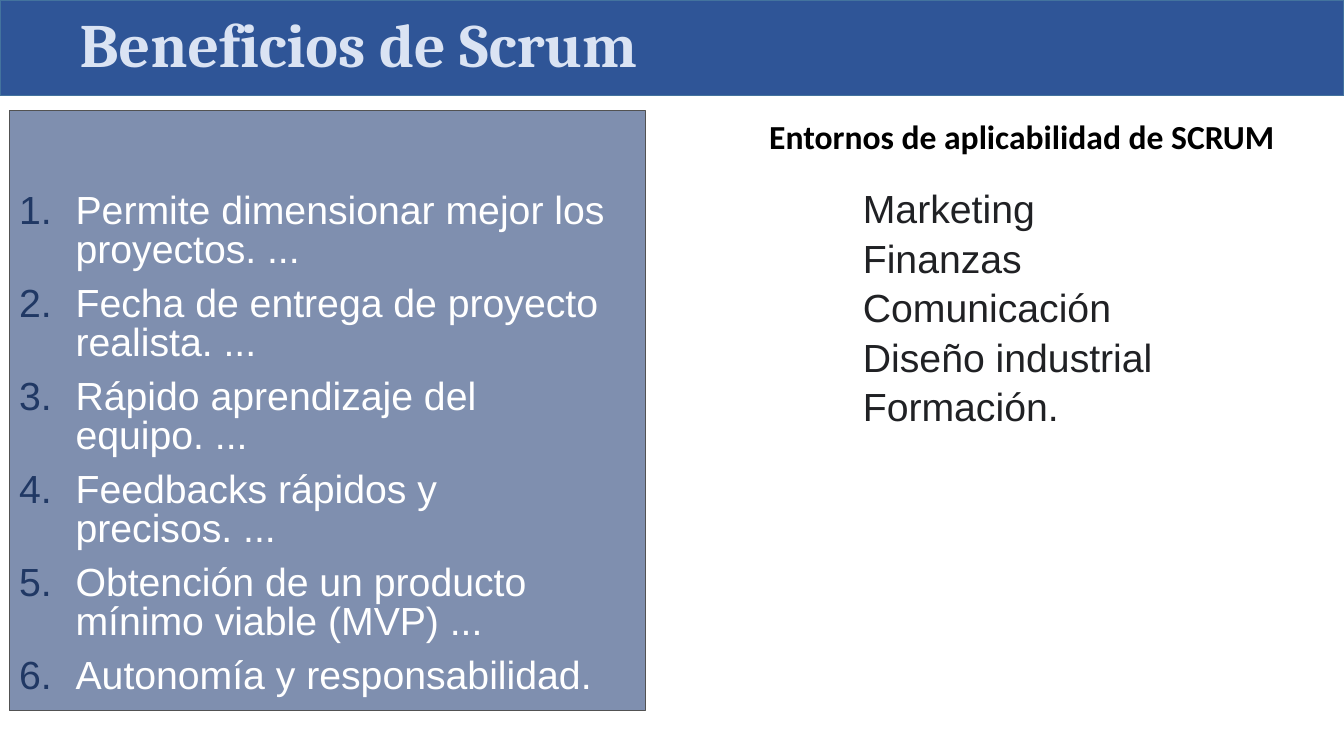
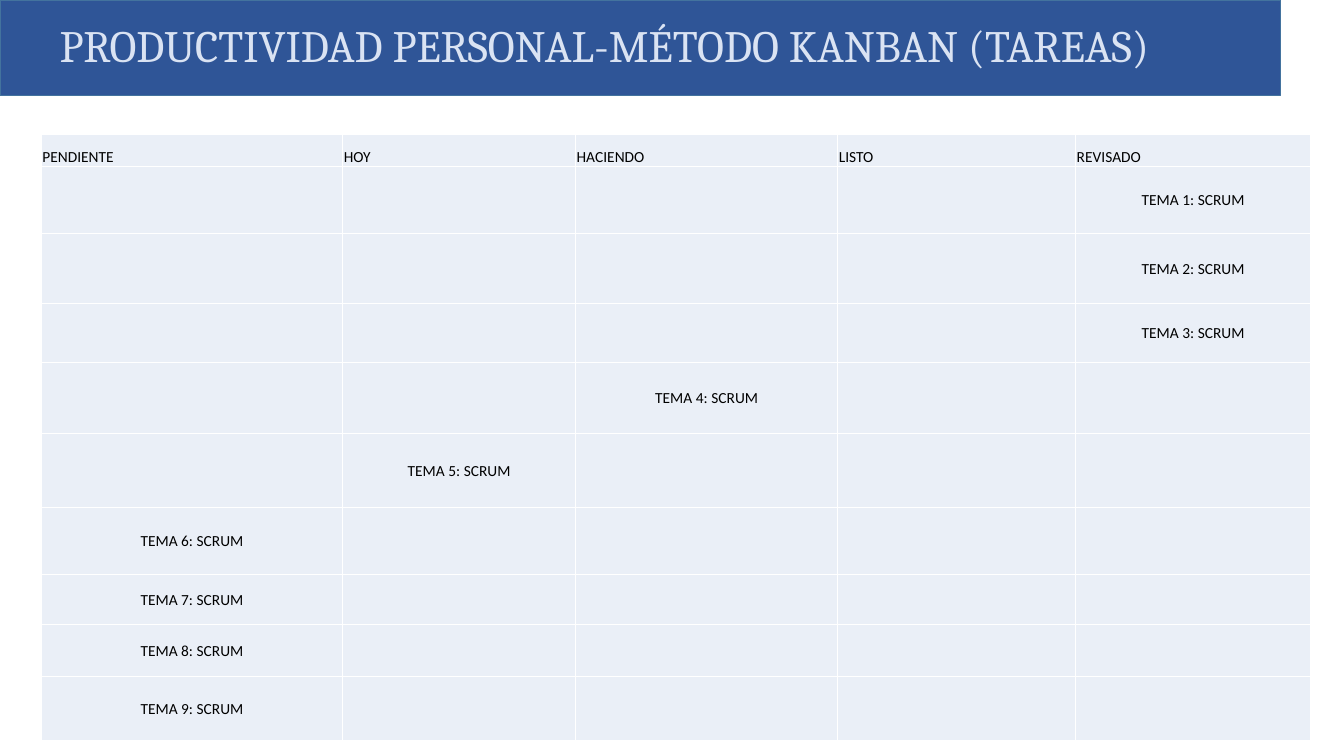
from dataclasses import dataclass

from lxml import etree
from pptx import Presentation
from pptx.dml.color import RGBColor
from pptx.enum.text import MSO_ANCHOR, MSO_AUTO_SIZE, PP_ALIGN
from pptx.oxml.ns import qn
from pptx.util import Pt

LEFT, CENTER = PP_ALIGN.LEFT, PP_ALIGN.CENTER
TOP, MIDDLE, BOTTOM = MSO_ANCHOR.TOP, MSO_ANCHOR.MIDDLE, MSO_ANCHOR.BOTTOM
NO_AUTOFIT = MSO_AUTO_SIZE.NONE
TITLE_AND_BODY, TITLE_ONLY = 1, 5
EMU_PER_PX = 9144  # 100 px to the inch


@dataclass(frozen=True)
class Theme:
    band: str = "2F5597"
    band_line: str = "43739E"
    title: str = "DAE3F3"
    panel: str = "002060"
    panel_line: str = "525252"
    panel_text: str = "FFFFFF"
    number: str = "203864"
    heading: str = "000000"
    text: str = "202124"
    cell: str = "EAEFF7"
    border: str = "FFFFFF"
    title_font: str = "Cambria"
    list_font: str = "Arial"
    label_font: str = "Calibri"
    title_size: int = 44
    long_title_size: int = 32
    list_size: int = 28
    heading_size: int = 24
    cell_size: int = 11


T = Theme()

BENEFITS_TITLE = "Beneficios de Scrum"
BENEFITS = [
    "Permite dimensionar mejor los proyectos. ...",
    "Fecha de entrega de proyecto realista. ...",
    "Rápido aprendizaje del equipo. ...",
    "Feedbacks rápidos y precisos. ...",
    "Obtención de un producto mínimo viable (MVP) ...",
    "Autonomía y responsabilidad.",
]
FIELDS_HEADING = "Entornos de aplicabilidad de SCRUM"
FIELDS = ["Marketing", "Finanzas", "Comunicación", "Diseño industrial", "Formación."]

KANBAN_TITLE = "PRODUCTIVIDAD PERSONAL-MÉTODO KANBAN (TAREAS)"
KANBAN_COLUMNS = [("PENDIENTE", 299), ("HOY", 231), ("HACIENDO", 260),
                  ("LISTO", 236), ("REVISADO", 233)]
HEADER_HEIGHT = 32
# Row height and the column that holds the topic
TOPICS = [(67, "REVISADO"), (69, "REVISADO"), (59, "REVISADO"),
          (70, "HACIENDO"), (74, "HOY"), (66, "PENDIENTE"),
          (50, "PENDIENTE"), (51, "PENDIENTE"), (64, "PENDIENTE")]


def px(n):
    return n * EMU_PER_PX


def rgb(color):
    return RGBColor.from_string(color)


def place(sp, left, top, width, height):
    sp.left, sp.top, sp.width, sp.height = map(px, (left, top, width, height))


def paint(sp, fill, line, line_width):
    sp.fill.solid()
    sp.fill.fore_color.rgb = rgb(fill)
    sp.line.color.rgb = rgb(line)
    sp.line.width = Pt(line_width)


def style_runs(p, font, size, color, bold=False):
    for r in p.runs:
        r.font.name, r.font.size, r.font.bold = font, Pt(size), bold
        r.font.color.rgb = rgb(color)


def add_title(s, text, width, inset, size, bold):
    """Turn the title placeholder into the blue band across the top."""
    sp = s.shapes.title
    place(sp, 0, 0, width, 95)
    paint(sp, T.band, T.band_line, 1)
    tf = sp.text_frame
    tf.text = text
    tf.auto_size, tf.vertical_anchor = NO_AUTOFIT, MIDDLE
    tf.margin_left = px(inset)
    p = tf.paragraphs[0]
    p.alignment, p.line_spacing = LEFT, 0.9
    style_runs(p, T.title_font, size, T.title, bold)


def number_paragraph(p, indent):
    pPr = p._p.get_or_add_pPr()
    pPr.set("marL", str(px(indent)))
    pPr.set("indent", str(-px(indent)))
    color = etree.SubElement(pPr, qn("a:buClr"))
    etree.SubElement(color, qn("a:srgbClr"), val=T.number)
    etree.SubElement(pPr, qn("a:buFont"), typeface=T.list_font)
    etree.SubElement(pPr, qn("a:buAutoNum"), type="arabicPeriod")


def add_numbered_panel(s, items):
    sp = s.placeholders[1]
    place(sp, 9, 110, 631, 595)
    paint(sp, T.panel, T.panel_line, 0.75)
    fill_color = sp._element.spPr.find(qn("a:solidFill"))[0]
    etree.SubElement(fill_color, qn("a:alpha"), val="50000")
    tf = sp.text_frame
    tf.text = "\n".join(items)
    tf.auto_size, tf.vertical_anchor = NO_AUTOFIT, TOP
    tf.margin_top = px(81)
    for i, p in enumerate(tf.paragraphs):
        number_paragraph(p, 56)
        p.line_spacing = 0.84
        p.space_before = Pt(10 if i else 0)
        style_runs(p, T.list_font, T.list_size, T.panel_text)


def add_text(s, box, lines, font, size, color, bold=False, spacing=1.0):
    tf = s.shapes.add_textbox(*map(px, box)).text_frame
    tf.word_wrap = True
    tf.text = "\n".join(lines)
    for p in tf.paragraphs:
        p.line_spacing = spacing
        style_runs(p, font, size, color, bold)


def border_cell(cell):
    tcPr = cell._tc.get_or_add_tcPr()
    for i, side in enumerate(("lnL", "lnR", "lnT", "lnB")):
        ln = etree.Element(qn("a:" + side), w=str(Pt(1)))
        fill = etree.SubElement(ln, qn("a:solidFill"))
        etree.SubElement(fill, qn("a:srgbClr"), val=T.border)
        tcPr.insert(i, ln)


def format_cell(cell, is_header):
    cell.fill.solid()
    cell.fill.fore_color.rgb = rgb(T.cell)
    border_cell(cell)
    cell.margin_left = cell.margin_right = cell.margin_top = px(1)
    cell.margin_bottom = 0
    cell.vertical_anchor = BOTTOM if is_header else MIDDLE
    p = cell.text_frame.paragraphs[0]
    p.alignment = LEFT if is_header else CENTER
    style_runs(p, T.label_font, T.cell_size, T.heading)


def add_kanban(s, left, top):
    names, widths = zip(*KANBAN_COLUMNS)
    heights = [HEADER_HEIGHT] + [height for height, _ in TOPICS]
    table = s.shapes.add_table(len(heights), len(widths), px(left), px(top),
                               px(sum(widths)), px(sum(heights))).table
    table.first_row = table.horz_banding = False
    for column, width in zip(table.columns, widths):
        column.width = px(width)
    for row, height in zip(table.rows, heights):
        row.height = px(height)
    for c, name in enumerate(names):
        table.cell(0, c).text = name
    for n, (_, state) in enumerate(TOPICS, 1):
        table.cell(n, names.index(state)).text = f"TEMA {n}: SCRUM"
    for r, row in enumerate(table.rows):
        for cell in row.cells:
            format_cell(cell, is_header=r == 0)


def build_benefits(prs):
    s = prs.slides.add_slide(prs.slide_layouts[TITLE_AND_BODY])
    add_title(s, BENEFITS_TITLE, 1333, 79, T.title_size, True)
    add_numbered_panel(s, BENEFITS)
    add_text(s, (753, 110, 545, 50), [FIELDS_HEADING],
             T.label_font, T.heading_size, T.heading, bold=True)
    add_text(s, (846, 176, 402, 246), FIELDS,
             T.list_font, T.list_size, T.text, spacing=1.05)


def build_kanban(prs):
    s = prs.slides.add_slide(prs.slide_layouts[TITLE_ONLY])
    add_title(s, KANBAN_TITLE, 1270, 59, T.long_title_size, False)
    add_kanban(s, 41, 133)


def main():
    prs = Presentation()
    prs.slide_width, prs.slide_height = px(1333), px(750)
    build_benefits(prs)
    build_kanban(prs)
    prs.save("out.pptx")


if __name__ == "__main__":
    main()
